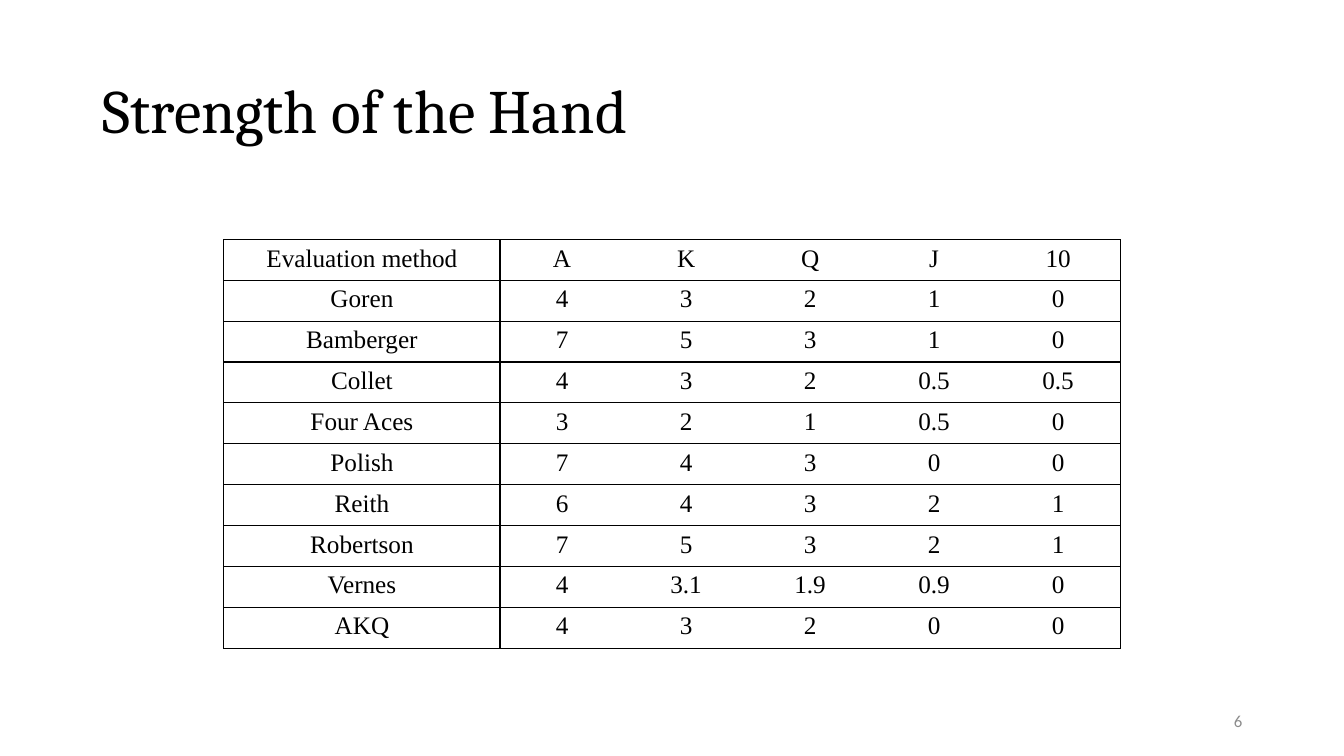
from dataclasses import dataclass

from lxml.etree import SubElement
from pptx import Presentation
from pptx.dml.color import RGBColor
from pptx.enum.text import MSO_ANCHOR, PP_ALIGN
from pptx.oxml.ns import qn
from pptx.util import Inches, Pt


@dataclass(frozen=True)
class Theme:
    ink: str = "000000"
    muted: str = "8C8C8C"
    title_font: str = "Cambria"
    table_font: str = "Times New Roman"
    number_font: str = "Calibri"
    title_size: int = 44
    table_size: int = 18
    number_size: int = 12
    border_width: int = 1


theme = Theme()

METHODS = [
    ("Evaluation method", "A", "K", "Q", "J", "10"),
    ("Goren", "4", "3", "2", "1", "0"),
    ("Bamberger", "7", "5", "3", "1", "0"),
    ("Collet", "4", "3", "2", "0.5", "0.5"),
    ("Four Aces", "3", "2", "1", "0.5", "0"),
    ("Polish", "7", "4", "3", "0", "0"),
    ("Reith", "6", "4", "3", "2", "1"),
    ("Robertson", "7", "5", "3", "2", "1"),
    ("Vernes", "4", "3.1", "1.9", "0.9", "0"),
    ("AKQ", "4", "3", "2", "0", "0"),
]
COLUMN_WIDTHS = [2.74] + [1.23] * 5
HEADER_HEIGHT = 0.38
TABLE_HEIGHT = 4.03
ROW_HEIGHT = (TABLE_HEIGHT - HEADER_HEIGHT) / (len(METHODS) - 1)


def write(frame, text, font_name, size, color, alignment):
    """Put one styled paragraph into a text frame."""
    paragraph = frame.paragraphs[0]
    paragraph.text = text
    paragraph.alignment = alignment
    paragraph.font.name = font_name
    paragraph.font.size = Pt(size)
    paragraph.font.color.rgb = RGBColor.from_string(color)
    return paragraph


def set_borders(cell, visible_sides):
    """Draw the given sides (letters of LRTB) and hide the others."""
    properties = cell._tc.get_or_add_tcPr()
    for side in "LRTB":
        line = SubElement(properties, qn(f"a:ln{side}"), w=str(Pt(theme.border_width)))
        if side in visible_sides:
            fill = SubElement(line, qn("a:solidFill"))
            SubElement(fill, qn("a:srgbClr"), val=theme.ink)
        else:
            SubElement(line, qn("a:noFill"))


presentation = Presentation()
presentation.slide_width = Inches(13.33)
presentation.slide_height = Inches(7.5)
slide = presentation.slides.add_slide(presentation.slide_layouts[6])

# Title
title = slide.shapes.add_textbox(Inches(0.92), Inches(0.4), Inches(11.5), Inches(1.45))
title.text_frame.word_wrap = True
title.text_frame.vertical_anchor = MSO_ANCHOR.MIDDLE
heading = write(title.text_frame, "Strength of the Hand", theme.title_font,
                theme.title_size, theme.ink, PP_ALIGN.LEFT)
heading.line_spacing = 0.9

# Table of evaluation methods
table = slide.shapes.add_table(
    len(METHODS), len(COLUMN_WIDTHS), Inches(2.22), Inches(2.38),
    Inches(sum(COLUMN_WIDTHS)), Inches(TABLE_HEIGHT)).table
table.first_row = False
table.horz_banding = False
for column, width in zip(table.columns, COLUMN_WIDTHS):
    column.width = Inches(width)

last_column = len(COLUMN_WIDTHS) - 1
for row_index, values in enumerate(METHODS):
    table.rows[row_index].height = Inches(ROW_HEIGHT if row_index else HEADER_HEIGHT)
    for column_index, value in enumerate(values):
        cell = table.cell(row_index, column_index)
        write(cell.text_frame, value, theme.table_font, theme.table_size,
              theme.ink, PP_ALIGN.CENTER)
        sides = {0: "LRTB", 1: "LTB", last_column: "RTB"}.get(column_index, "TB")
        set_borders(cell, sides)
        cell.fill.background()

# Slide number
number = slide.shapes.add_textbox(Inches(9.42), Inches(6.95), Inches(3), Inches(0.4))
number.text_frame.word_wrap = True
number.text_frame.vertical_anchor = MSO_ANCHOR.MIDDLE
write(number.text_frame, "6", theme.number_font, theme.number_size,
      theme.muted, PP_ALIGN.RIGHT)

presentation.save("out.pptx")
